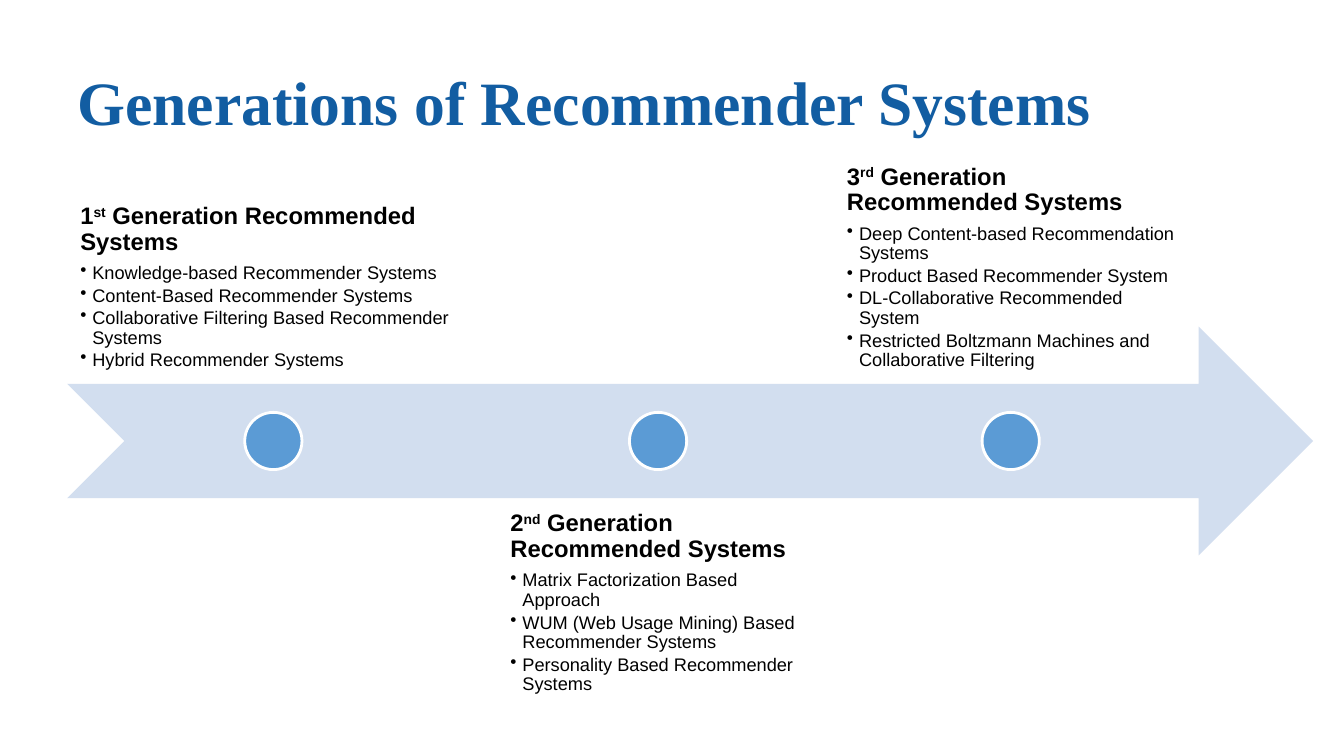
from lxml.etree import SubElement
from pptx import Presentation
from pptx.dml.color import RGBColor
from pptx.enum.shapes import MSO_SHAPE
from pptx.enum.text import MSO_ANCHOR, PP_ALIGN
from pptx.oxml.ns import qn
from pptx.util import Inches, Pt

WIDE, HIGH = Inches(13.33), Inches(7.5)
COL, ROW = WIDE / 100, HIGH / 100
EDGE, TOP, BAND = 5, 43.2, 30.27
NAVY = RGBColor(0x12, 0x5D, 0xA2)
PALE = RGBColor(0xD2, 0xDE, 0xEF)
BLUE = RGBColor(0x5B, 0x9B, 0xD5)
WHITE = RGBColor(0xFF, 0xFF, 0xFF)
BLACK = RGBColor(0, 0, 0)
HEAD = {"size": Pt(17), "name": "Arial", "bold": True}
ITEM = {"size": Pt(13), "name": "Arial", "bold": False}
TITLE = {"size": Pt(44), "name": "Times New Roman", "bold": True}

STAGES = [
    (5, 30.68, True, "1", "st", [
        "Knowledge-based Recommender Systems",
        "Content-Based Recommender Systems",
        "Collaborative Filtering Based Recommender Systems",
        "Hybrid Recommender Systems"]),
    (37, 23.93, False, "2", "nd", [
        "Matrix Factorization Based Approach",
        "WUM (Web Usage Mining) Based Recommender Systems",
        "Personality Based Recommender Systems"]),
    (62.04, 26.33, True, "3", "rd", [
        "Deep Content-based Recommendation Systems",
        "Product Based Recommender System",
        "DL-Collaborative Recommended System",
        "Restricted Boltzmann Machines and Collaborative Filtering"]),
]


def grid(left, top, width, height):
    """Turn columns and rows into slide lengths."""
    return int(left * COL), int(top * ROW), int(width * COL), int(height * ROW)


def style(target, values):
    """Set each attribute named in the dict."""
    for name, value in values.items():
        setattr(target, name, value)


def write(para, text, font, color=BLACK):
    """Add a formatted run to a paragraph."""
    run = para.add_run()
    run.text = text
    style(run.font, font)
    run.font.color.rgb = color
    return run


def bullet(para):
    """Give a paragraph a hanging bullet."""
    props = para._p.get_or_add_pPr()
    props.set("marL", str(Inches(0.12)))
    props.set("indent", str(-Inches(0.12)))
    SubElement(props, qn("a:buChar")).set("char", "•")


def add_title(slide, text):
    """Place and fill the title."""
    title = slide.shapes.title
    spots = grid(EDGE, 3.73, 90, 20.4)
    style(title, dict(zip(("left", "top", "width", "height"), spots)))
    title.text_frame.vertical_anchor = MSO_ANCHOR.MIDDLE
    para = title.text_frame.paragraphs[0]
    style(para, {"alignment": PP_ALIGN.LEFT, "line_spacing": 0.9})
    write(para, text, TITLE, NAVY)


def add_form(slide, kind, box, fill):
    """Draw a plain filled preset shape."""
    form = slide.shapes.add_shape(kind, *box)
    form.shadow.inherit = False
    form.fill.solid()
    form.fill.fore_color.rgb = fill
    form.line.fill.background()
    return form


def add_dot(slide, mid):
    """Draw a dot on the arrow, centred on a column."""
    size = int(BAND * ROW / 4)
    left = int(mid * COL - size / 2)
    top = int((TOP + BAND / 2) * ROW - size / 2)
    dot = add_form(slide, MSO_SHAPE.OVAL, (left, top, size, size), BLUE)
    dot.line.color.rgb = WHITE
    dot.line.width = Pt(2)


def add_stage(slide, left, width, above, count, suffix, items):
    """Write a generation above or below the arrow and mark it."""
    top = TOP + BAND * (-0.75 if above else 0.75)
    frame = slide.shapes.add_textbox(*grid(left, top, width, BAND)).text_frame
    style(frame, {"word_wrap": True, "vertical_anchor":
                  MSO_ANCHOR.BOTTOM if above else MSO_ANCHOR.TOP})
    style(frame, {f"margin_{side}": Inches(0.13)
                  for side in ("left", "top", "right", "bottom")})
    head = frame.paragraphs[0]
    style(head, {"line_spacing": 0.9, "space_after": Pt(6)})
    write(head, count, HEAD)
    raised = write(head, suffix, HEAD)
    raised.font._element.set("baseline", "30000")
    write(head, " Generation Recommended Systems", HEAD)
    for item in items:
        para = frame.add_paragraph()
        style(para, {"level": 1, "line_spacing": 0.9, "space_after": Pt(2)})
        bullet(para)
        write(para, item, ITEM)
    add_dot(slide, left + width / 2)


def main():
    """Build and save the slide."""
    deck = Presentation()
    style(deck, {"slide_width": WIDE, "slide_height": HIGH})
    slide = deck.slides.add_slide(deck.slide_layouts[5])
    add_title(slide, "Generations of Recommender Systems")
    add_form(slide, MSO_SHAPE.NOTCHED_RIGHT_ARROW,
             grid(EDGE, TOP, 92.7, BAND), PALE)
    for stage in STAGES:
        add_stage(slide, *stage)
    deck.save("out.pptx")


main()
